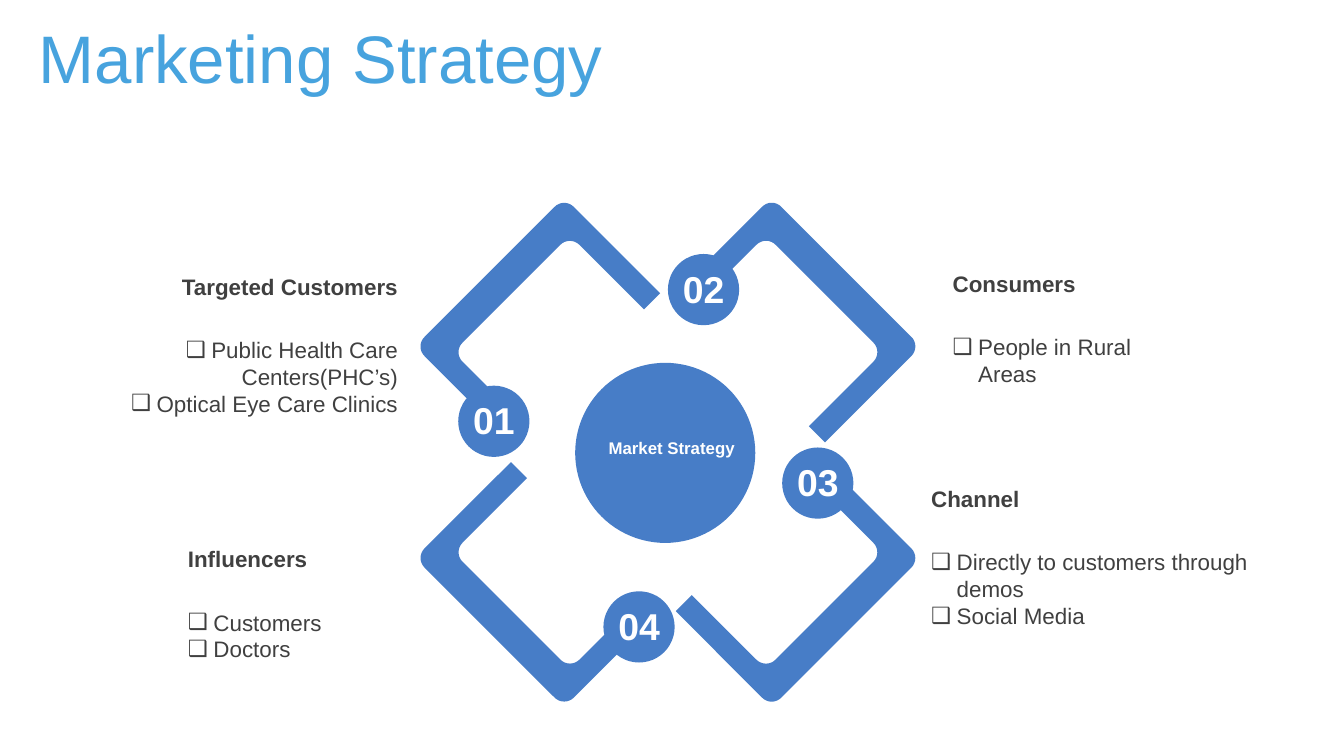
from math import cos, pi, sin

from lxml import etree
from pptx import Presentation
from pptx import util as u
from pptx.dml.color import RGBColor
from pptx.enum import shapes, text
from pptx.oxml import ns

BLUE = RGBColor(0x47, 0x7D, 0xC7)
SKY = RGBColor(0x47, 0xA3, 0xDE)
GREY = RGBColor(0x40, 0x40, 0x40)
WHITE = RGBColor(0xFF, 0xFF, 0xFF)
LEFT, MID, RIGHT = text.PP_ALIGN.LEFT, text.PP_ALIGN.CENTER, text.PP_ALIGN.RIGHT
TOP, MIDDLE = text.MSO_ANCHOR.TOP, text.MSO_ANCHOR.MIDDLE


def arc(x, y, r, start, turn):
    """Points of a quarter circle about (x, y)."""
    steps = 8
    angles = [(start + turn * i / steps) * pi / 180 for i in range(steps + 1)]
    return [(x + r * cos(a), y + r * sin(a)) for a in angles]


class Deck:
    font = "Arial"
    indent = 0.19

    def __init__(self, wide, high):
        self.prs = Presentation()
        self.prs.slide_width = u.Inches(wide)
        self.prs.slide_height = u.Inches(high)
        self.slide = self.prs.slides.add_slide(self.prs.slide_layouts[6])

    def paint(self, shape):
        shape.shadow.inherit = False
        shape.fill.solid()
        shape.fill.fore_color.rgb = BLUE
        shape.line.fill.background()

    def disc(self, x, y, size):
        box = [u.Inches(v) for v in (x, y, size, size)]
        self.paint(self.slide.shapes.add_shape(shapes.MSO_SHAPE.OVAL, *box))

    def bracket(self, x, y, turn, flip):
        """Rounded U centred on (x, y); flip is -1 when it opens upward."""
        wide, high, arm, bar, r = 1.57, 1.01, 0.17, 0.23, 0.1
        outer, inner = wide / 2, wide / 2 - arm
        top, foot = -high / 2, high / 2
        pts = [(-outer, foot)]
        pts += arc(r - outer, top + r, r, 180, 90)
        pts += arc(outer - r, top + r, r, 270, 90)
        pts += [(outer, foot), (inner, foot)]
        pts += arc(inner - r, top + bar + r, r, 360, -90)
        pts += arc(r - inner, top + bar + r, r, 270, -90)
        pts += [(-inner, foot)]
        pts = [(u.Inches(x + px), u.Inches(y + flip * py)) for px, py in pts]
        pen = self.slide.shapes.build_freeform(*pts[0])
        pen.add_line_segments(pts[1:], close=True)
        shape = pen.convert_to_shape()
        shape.rotation = turn
        self.paint(shape)

    def bullet(self, para):
        props = para._p.get_or_add_pPr()
        props.set("marL", str(u.Inches(self.indent)))
        props.set("indent", str(-u.Inches(self.indent)))
        face = etree.SubElement(props, ns.qn("a:buFont"))
        face.set("typeface", self.font)
        mark = etree.SubElement(props, ns.qn("a:buChar"))
        mark.set("char", "❑")

    def label(self, box, lines, size, color, bold=False, align=LEFT,
              anchor=TOP, marks=False):
        frame = self.slide.shapes.add_textbox(*map(u.Inches, box)).text_frame
        frame.word_wrap = True
        frame.vertical_anchor = anchor
        for i, line in enumerate(lines):
            para = frame.paragraphs[0] if i == 0 else frame.add_paragraph()
            para.alignment = align
            if marks:
                self.bullet(para)
            run = para.add_run()
            run.text = line
            run.font.name = self.font
            run.font.size = u.Pt(size)
            run.font.bold = bold
            run.font.color.rgb = color

    def topic(self, x, y, wide, head, items, align=LEFT):
        self.label((x, y, wide, 0.3), [head], 12, GREY, True, align)
        self.label((x, y + 0.47, wide, 0.52), items, 12, GREY,
                   align=align, marks=True)


def main():
    deck = Deck(10, 10 * 9 / 16)

    # Title
    deck.label((0.19, 0, 7.8, 0.84), ["Marketing Strategy"], 36, SKY,
               anchor=MIDDLE)

    # Four brackets around the hub
    for x, y, turn, flip in [(4, 2.38, 315, 1), (5.94, 2.38, 45, 1),
                             (4, 4.35, 45, -1), (5.94, 4.35, 315, -1)]:
        deck.bracket(x, y, turn, flip)

    # Hub
    deck.disc(4.28, 2.7, 1.34)
    deck.label((4.43, 3.21, 1.91, 0.25), ["Market Strategy"], 9, WHITE, True)

    # Numbered discs
    spots = [(3.41, 2.87), (4.97, 1.89), (5.82, 3.33), (4.49, 4.4)]
    for num, (x, y) in enumerate(spots, 1):
        deck.disc(x, y, 0.53)
        deck.label((x - 0.09, y + 0.04, 0.71, 0.44), [f"{num:02}"], 20,
                   WHITE, True, MID)

    # Topics
    deck.topic(0.15, 1.98, 2.91, "Targeted Customers",
               ["Public Health Care Centers(PHC’s)",
                "Optical Eye Care Clinics"], RIGHT)
    deck.topic(6.99, 1.96, 1.86, "Consumers", ["People in Rural Areas"])
    deck.topic(6.83, 3.56, 2.91, "Channel",
               ["Directly to customers through demos", "Social Media"])
    deck.topic(1.3, 4.01, 1.96, "Influencers", ["Customers", "Doctors"])

    deck.prs.save("out.pptx")


if __name__ == "__main__":
    main()
